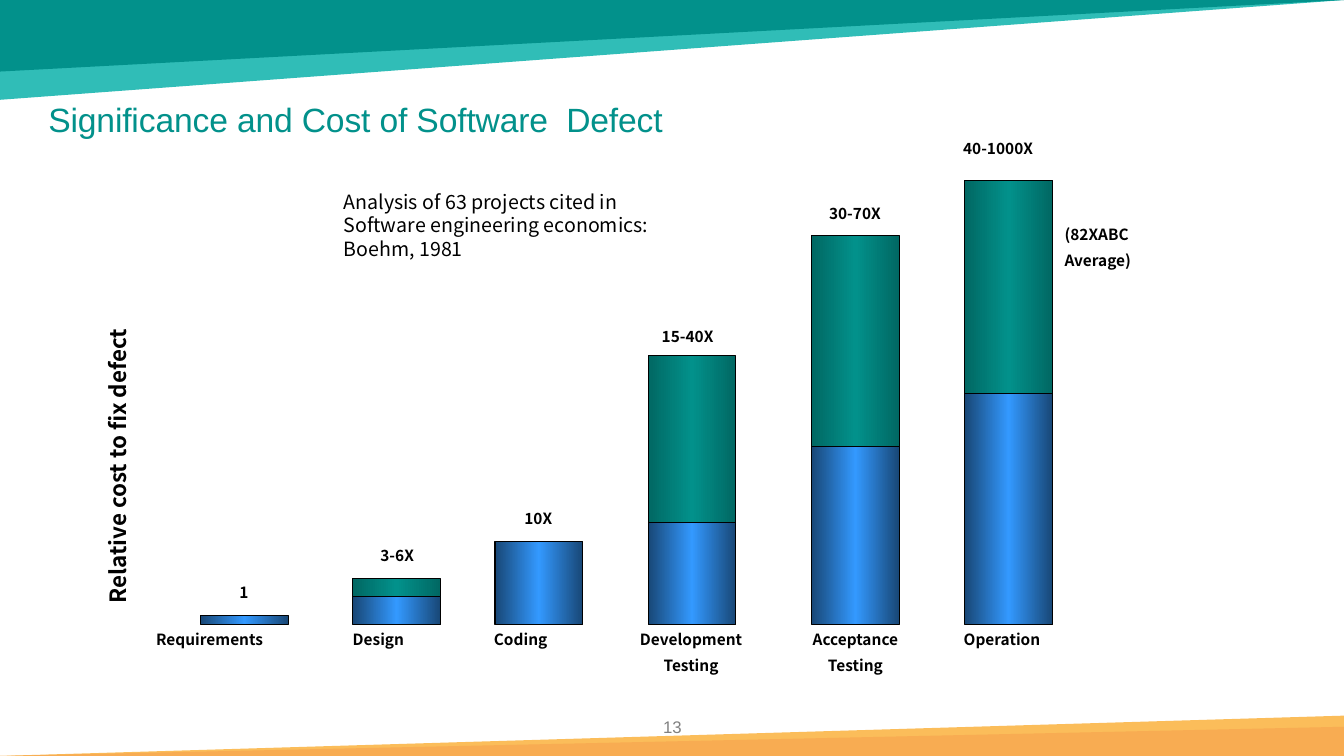
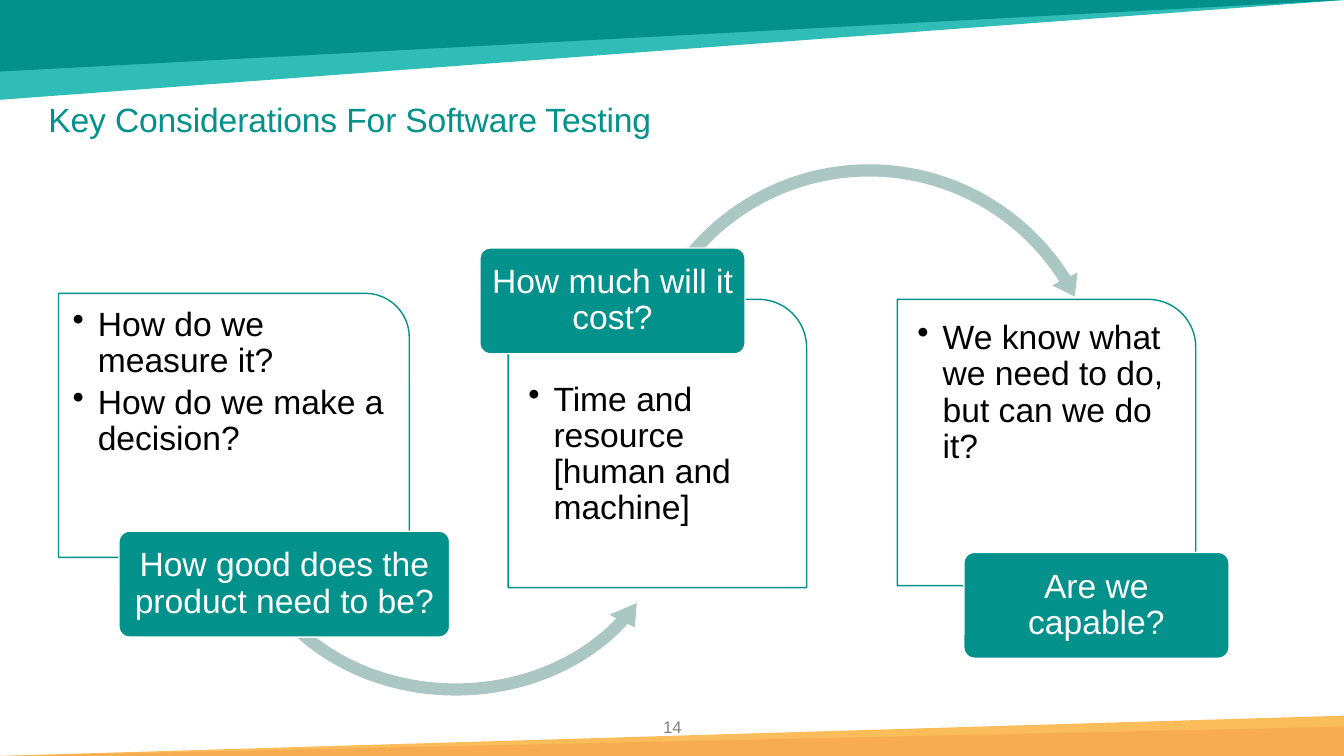
"""Build two slides on the cost of software defects and on software testing."""
from dataclasses import dataclass

from lxml.etree import SubElement
from pptx import Presentation
from pptx.dml.color import RGBColor
from pptx.enum.shapes import MSO_SHAPE
from pptx.enum.text import MSO_ANCHOR, PP_ALIGN
from pptx.oxml.ns import qn
from pptx.util import Inches, Pt


@dataclass(frozen=True)
class Theme:
    """Colours, fonts and type sizes of the deck."""
    teal: str = "02918B"
    teal_light: str = "30BDB7"
    teal_dark: str = "016863"
    blue: str = "3399FF"
    blue_dark: str = "184776"
    orange: str = "F8AC52"
    orange_light: str = "FBBD5A"
    arrow: str = "ABC7C4"
    grey: str = "808080"
    black: str = "000000"
    white: str = "FFFFFF"
    font: str = "Arial"
    chart_font: str = "Noto Sans CJK KR"
    large: float = 24
    axis: float = 16
    note: float = 14
    number: float = 12
    label: float = 11


THEME = Theme()


@dataclass(frozen=True)
class Box:
    """A rectangle in inches."""
    left: float
    top: float
    width: float
    height: float

    def lengths(self) -> tuple:
        """Return the four lengths for a python-pptx call."""
        return tuple(Inches(n) for n in (self.left, self.top, self.width, self.height))


@dataclass(frozen=True)
class Style:
    """Type style of a text."""
    size: float
    color: str = THEME.black
    font: str = THEME.font
    bold: bool = False
    align: PP_ALIGN = PP_ALIGN.LEFT
    line: float = 1.0
    before: float = 0
    after: float = 0
    bullet: bool = False
    tracking: int = 0


@dataclass(frozen=True)
class Band:
    """A coloured wedge along the top or bottom edge."""
    height: float
    color: str
    at_top: bool


@dataclass(frozen=True)
class Stage:
    """One project stage: its stacked bar, its name and its cost."""
    name: tuple
    name_left: float
    bar_left: float
    low: float
    high: float
    cost: str
    cost_center: float
    cost_top: float


@dataclass(frozen=True)
class Card:
    """A list card with a caption, with insets left and top."""
    box: Box
    items: tuple
    inset_left: float
    inset_top: float
    caption: str
    caption_box: Box


@dataclass(frozen=True)
class Arc:
    """A curved arrow with its preset shape and adjustments."""
    box: Box
    preset: MSO_SHAPE
    adjustments: tuple


TITLE_BOX = Box(0.38, 1.01, 8.79, 0.4)
TITLE = Style(THEME.large, THEME.teal, line=0.9, tracking=-10)
NUMBER = Style(THEME.number, THEME.grey, align=PP_ALIGN.CENTER)
LABEL = Style(THEME.label, font=THEME.chart_font, bold=True, before=0.5)
LABEL_CENTER = Style(THEME.label, font=THEME.chart_font, bold=True,
                     align=PP_ALIGN.CENTER, before=0.5)
AXIS = Style(THEME.axis, font=THEME.chart_font, bold=True, before=0.5)
NOTE = Style(THEME.note, font=THEME.chart_font, before=0.5)
ITEM = Style(THEME.large, line=0.9, after=0.15, bullet=True)
CAPTION = Style(THEME.large, THEME.white, align=PP_ALIGN.CENTER, line=0.9, after=0.35)

SLIDE_WIDTH, SLIDE_HEIGHT = 13.33, 7.5
BASELINE, BAR_WIDTH = 6.2, 0.87
NAME_WIDTH, COST_WIDTH = 1.73, 1.3

BANDS = (
    Band(0.99, THEME.teal_light, True),
    Band(0.71, THEME.teal, True),
    Band(0.4, THEME.orange_light, False),
    Band(0.29, THEME.orange, False),
)
STAGES = (
    Stage(("Requirements",), 1.45, 1.99, 0.09, 0, "1", 2.42, 5.74),
    Stage(("Design",), 3.4, 3.5, 0.28, 0.18, "3-6X", 3.94, 5.37),
    Stage(("Coding",), 4.8, 4.91, 0.83, 0, "10X", 5.34, 5),
    Stage(("Development", "Testing"), 5.99, 6.43, 1.02, 1.65, "15-40X", 6.82, 3.2),
    Stage(("Acceptance", "Testing"), 7.62, 8.05, 1.77, 2.09, "30-70X", 8.48, 1.98),
    Stage(("Operation",), 9.46, 9.57, 2.3, 2.11, "40-1000X", 9.9, 1.33),
)
CARDS = (
    Card(Box(0.58, 2.91, 3.48, 2.62),
         ("How do we measure it?", "How do we make a decision?"), 0.14, 0.14,
         "How good does the product need to be?", Box(1.18, 5.27, 3.28, 1.05)),
    Card(Box(5.04, 2.97, 2.96, 2.86),
         ("Time and resource [human and machine]",), 0.2, 0.82,
         "How much will it cost?", Box(4.76, 2.46, 2.63, 1.05)),
    Card(Box(8.9, 2.97, 2.96, 2.84),
         ("We know what we need to do, but can we do it?",), 0.2, 0.21,
         "Are we capable?", Box(9.56, 5.48, 2.63, 1.05)),
)
ARCS = (
    Arc(Box(2.29, 3.19, 4.46, 3.79), MSO_SHAPE.LEFT_CIRCULAR_ARROW,
        (0.032, 3.955, 19.867, 88.402, 0.037)),
    Arc(Box(6.19, 1.55, 4.86, 4.86), MSO_SHAPE.CIRCULAR_ARROW,
        (0.025, 3.031, 196.806, 127.348, 0.029)),
)


def rgb(color: str) -> RGBColor:
    """Turn a hex string into a colour."""
    return RGBColor.from_string(color)


def write(frame, lines: tuple, style: Style) -> None:
    """Write one paragraph per line into a text frame."""
    frame.word_wrap = True
    for index, line in enumerate(lines):
        para = frame.paragraphs[0] if index == 0 else frame.add_paragraph()
        para.alignment = style.align
        para.line_spacing = style.line
        properties = para._p.get_or_add_pPr()
        properties.get_or_add_spcBef().set_spcPct(style.before)
        properties.get_or_add_spcAft().set_spcPct(style.after)
        if style.bullet:
            properties.set("marL", str(Inches(0.25)))
            properties.set("indent", str(-Inches(0.25)))
            SubElement(properties, qn("a:buChar")).set("char", "•")
        span = para.add_run()
        span.text = line
        span.font.name = style.font
        span.font.size = Pt(style.size)
        span.font.bold = style.bold
        span.font.color.rgb = rgb(style.color)
        if style.tracking:
            span._r.get_or_add_rPr().set("spc", str(style.tracking))


def add_text(page, box: Box, lines: tuple, style: Style):
    """Add a text box."""
    shape = page.shapes.add_textbox(*box.lengths())
    write(shape.text_frame, lines, style)
    return shape


def add_shape(page, preset: MSO_SHAPE, box: Box, fill: str, line: str = "",
              weight: float = 1):
    """Add a preset shape with a solid fill and an optional outline."""
    shape = page.shapes.add_shape(preset, *box.lengths())
    shape.shadow.inherit = False
    shape.fill.solid()
    shape.fill.fore_color.rgb = rgb(fill)
    if line:
        shape.line.color.rgb = rgb(line)
        shape.line.width = Pt(weight)
    else:
        shape.line.fill.background()
    return shape


def set_insets(frame, left: float, top: float, right: float, bottom: float) -> None:
    """Set the inner margins of a text frame in inches."""
    frame.margin_left, frame.margin_top = Inches(left), Inches(top)
    frame.margin_right, frame.margin_bottom = Inches(right), Inches(bottom)


def add_bar(page, box: Box, edge: str, middle: str) -> None:
    """Add a bar shaded from its edges to its middle."""
    shape = add_shape(page, MSO_SHAPE.RECTANGLE, box, middle, THEME.black, 0.75)
    shape.fill.gradient()
    shape.fill.gradient_angle = 0
    stops = shape._element.spPr.find(".//" + qn("a:gsLst"))
    stops.clear()
    for position, color in ((0, edge), (50000, middle), (100000, edge)):
        stop = SubElement(stops, qn("a:gs"), pos=str(position))
        SubElement(stop, qn("a:srgbClr"), val=color)


def add_bands(deck, page) -> None:
    """Draw the edge bands and move them to the slide master."""
    for band in BANDS:
        top = 0 if band.at_top else SLIDE_HEIGHT - band.height
        shape = add_shape(page, MSO_SHAPE.RIGHT_TRIANGLE,
                          Box(0, top, SLIDE_WIDTH, band.height), band.color)
        shape._element.spPr.get_or_add_xfrm().set("flipH", "1")
        shape.rotation = 180 if band.at_top else 0
        deck.slide_master.shapes._spTree.append(shape._element)


def add_page(deck, title: str, number: int):
    """Add a slide with its title and number."""
    page = deck.slides.add_slide(deck.slide_layouts[5])
    heading = page.shapes.title
    heading.left, heading.top, heading.width, heading.height = TITLE_BOX.lengths()
    heading.text_frame.vertical_anchor = MSO_ANCHOR.MIDDLE
    write(heading.text_frame, (title,), TITLE)
    add_text(page, Box(6.34, 7.06, 0.66, 0.3), (str(number),), NUMBER)
    return page


def add_stage(page, stage: Stage) -> None:
    """Draw the bar, name and cost of a stage."""
    low_top = BASELINE - stage.low
    add_bar(page, Box(stage.bar_left, low_top, BAR_WIDTH, stage.low),
            THEME.blue_dark, THEME.blue)
    if stage.high:
        add_bar(page, Box(stage.bar_left, low_top - stage.high, BAR_WIDTH, stage.high),
                THEME.teal_dark, THEME.teal)
    add_text(page, Box(stage.name_left, BASELINE, NAME_WIDTH, 0.29 * len(stage.name)),
             stage.name, LABEL_CENTER if len(stage.name) > 1 else LABEL)
    add_text(page, Box(stage.cost_center - COST_WIDTH / 2, stage.cost_top, COST_WIDTH, 0.29),
             (stage.cost,), LABEL_CENTER)


def add_card(page, card: Card) -> None:
    """Draw a list card and its caption."""
    panel = add_shape(page, MSO_SHAPE.ROUND_1_RECTANGLE, card.box, THEME.white, THEME.teal)
    panel.text_frame.vertical_anchor = MSO_ANCHOR.TOP
    set_insets(panel.text_frame, card.inset_left, card.inset_top, 0.1, 0.14)
    write(panel.text_frame, card.items, ITEM)
    caption = add_shape(page, MSO_SHAPE.ROUNDED_RECTANGLE, card.caption_box,
                        THEME.teal, THEME.white)
    caption.adjustments[0] = 0.1
    caption.text_frame.vertical_anchor = MSO_ANCHOR.MIDDLE
    set_insets(caption.text_frame, 0.06, 0.03, 0.06, 0.03)
    write(caption.text_frame, (card.caption,), CAPTION)


def add_arc(page, arc: Arc) -> None:
    """Draw a curved arrow."""
    shape = add_shape(page, arc.preset, arc.box, THEME.arrow)
    for index, value in enumerate(arc.adjustments):
        shape.adjustments[index] = value


def main() -> None:
    """Build and save the deck."""
    deck = Presentation()
    deck.slide_width, deck.slide_height = Inches(SLIDE_WIDTH), Inches(SLIDE_HEIGHT)

    page = add_page(deck, "Significance and Cost of Software  Defect", 13)
    add_bands(deck, page)
    for stage in STAGES:
        add_stage(page, stage)
    axis = add_text(page, Box(-0.85, 3.88, 4.04, 0.37), ("Relative cost to fix defect",), AXIS)
    axis.rotation = 270
    add_text(page, Box(10.46, 2.18, 1.3, 0.56), ("(82XABC", "Average)"), LABEL)
    add_text(page, Box(3.31, 1.83, 3.75, 0.81),
             ("Analysis of 63 projects cited in Software engineering economics: Boehm, 1981",), NOTE)

    page = add_page(deck, "Key Considerations For Software Testing", 14)
    for arc in ARCS:
        add_arc(page, arc)
    for card in CARDS:
        add_card(page, card)
    deck.save("out.pptx")


if __name__ == "__main__":
    main()
